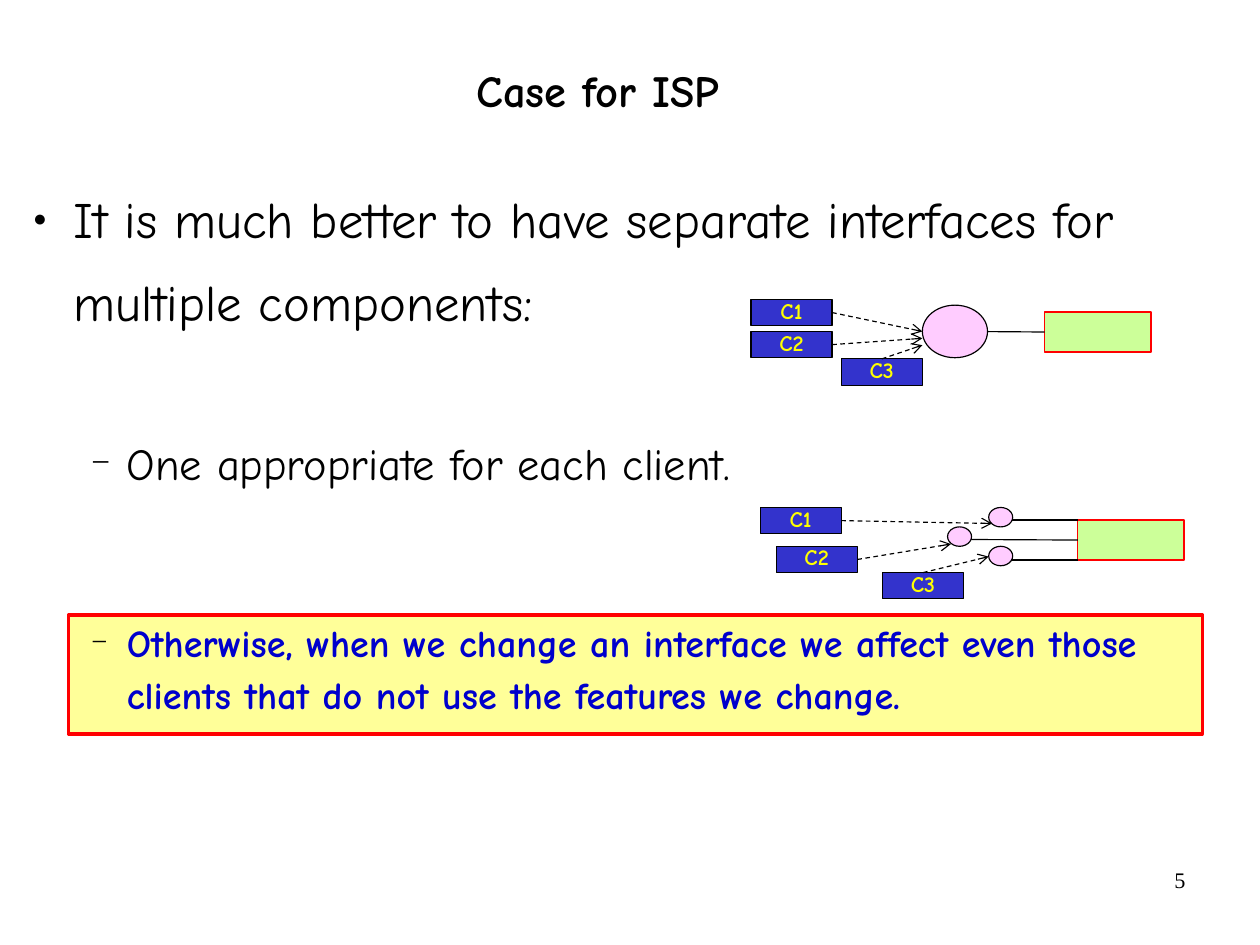
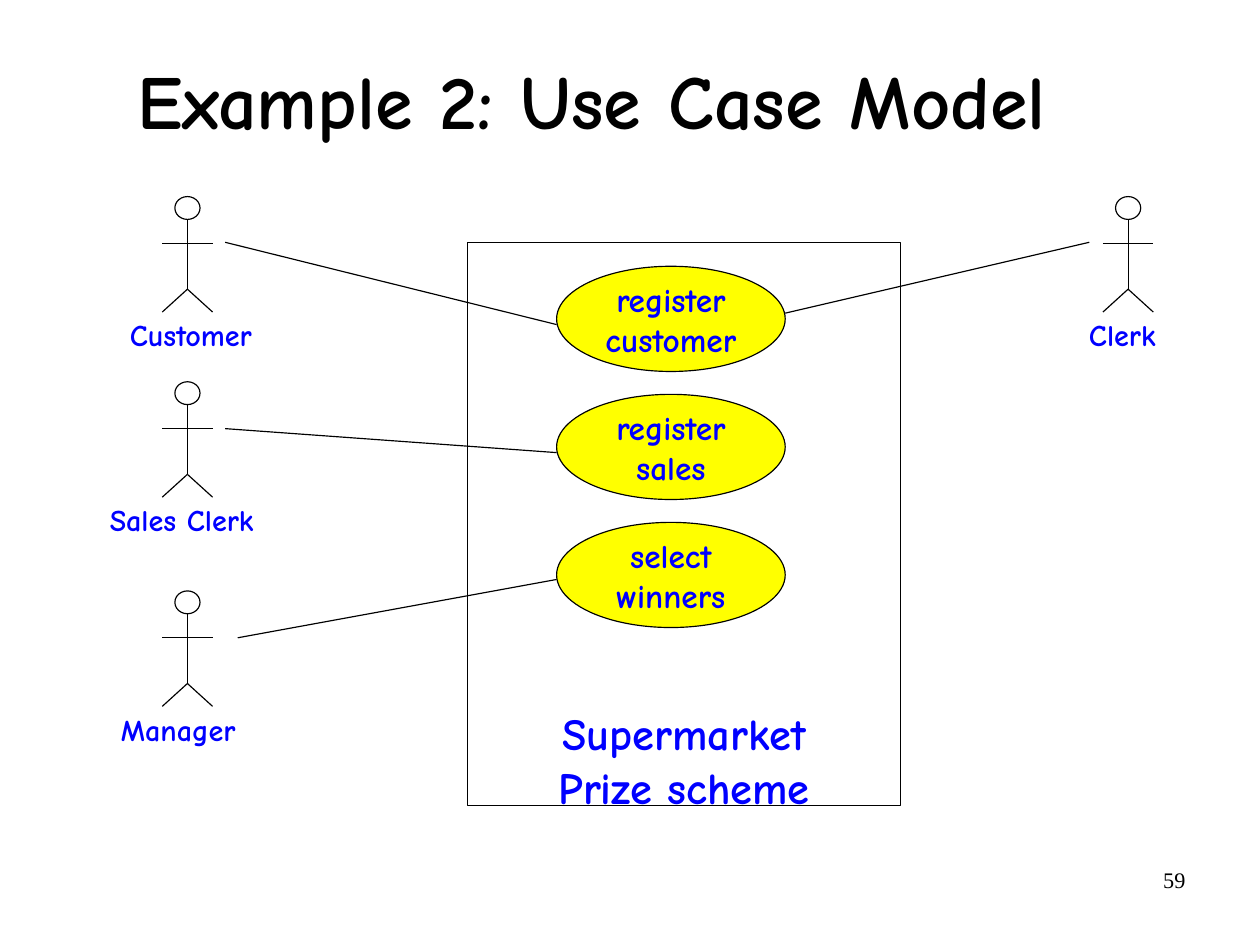
from dataclasses import dataclass
from typing import Any, NamedTuple

from lxml import etree
from pptx import Presentation
from pptx.dml.color import RGBColor
from pptx.enum.dml import MSO_LINE
from pptx.enum.shapes import MSO_CONNECTOR, MSO_SHAPE
from pptx.enum.text import MSO_ANCHOR, PP_ALIGN
from pptx.oxml.ns import qn
from pptx.util import Inches, Pt

# Enum members
RECTANGLE, OVAL = MSO_SHAPE.RECTANGLE, MSO_SHAPE.OVAL
STRAIGHT, DASH = MSO_CONNECTOR.STRAIGHT, MSO_LINE.DASH
TOP, MIDDLE = MSO_ANCHOR.TOP, MSO_ANCHOR.MIDDLE
LEFT, CENTER, RIGHT = PP_ALIGN.LEFT, PP_ALIGN.CENTER, PP_ALIGN.RIGHT
SIDE_TOP, SIDE_LEFT, SIDE_RIGHT = 0, 1, 3

# Colours and fonts
BLACK = RGBColor(0x00, 0x00, 0x00)
RED = RGBColor(0xFF, 0x00, 0x00)
BLUE = RGBColor(0x00, 0x00, 0xFF)
YELLOW = RGBColor(0xFF, 0xFF, 0x00)
PALE_YELLOW = RGBColor(0xFF, 0xFF, 0x99)
DARK_BLUE = RGBColor(0x00, 0x00, 0xCC)
CLIENT_BLUE = RGBColor(0x33, 0x33, 0xCC)
SERVICE_GREEN = RGBColor(0xCC, 0xFF, 0x99)
INTERFACE_PINK = RGBColor(0xFF, 0xCC, 0xFF)
MAIN_FONT, SERIF_FONT = "Comic Neue", "Times New Roman"

# Sizes: the page is 28 by 21 centimetres
CENTIMETRES_PER_INCH = 2.54
PAGE_WIDTH = Inches(28 / CENTIMETRES_PER_INCH)
PAGE_HEIGHT = Inches(21 / CENTIMETRES_PER_INCH)
HAIRLINE = 0.75
CLIENT_WIDTH, CLIENT_HEIGHT = 0.71, 0.23
SERVICE_WIDTH, SERVICE_HEIGHT = 0.93, 0.35


class Box(NamedTuple):
    left: float
    top: float
    width: float
    height: float


class Point(NamedTuple):
    x: float
    y: float


@dataclass(frozen=True)
class TextStyle:
    size: float
    color: RGBColor = BLACK
    bold: bool = True
    font: str = MAIN_FONT
    align: PP_ALIGN = CENTER
    anchor: MSO_ANCHOR = MIDDLE
    spacing: float = 1.0
    wrap: bool = True


@dataclass(frozen=True)
class BodyItem:
    text: str
    style: TextStyle
    bullet: str
    bullet_percent: int
    margin: float
    hanging: float
    before: float
    after: float
    level: int = 0


@dataclass(frozen=True)
class Client:
    name: str
    corner: Point
    side: int
    target: Point


@dataclass(frozen=True)
class Interface:
    box: Box
    link_start: Point
    link_end: Point
    at_side_middle: bool = False


@dataclass(frozen=True)
class ServiceDiagram:
    service: Point
    interfaces: list[Interface]
    clients: list[Client]


@dataclass(frozen=True)
class Actor:
    name: str
    axis: float
    top: float
    label_center: float
    link_start: Point
    link_end: Point


# Text styles
NUMBER_STYLE = TextStyle(14, bold=False, font=SERIF_FONT, align=RIGHT, anchor=TOP)
CLIENT_STYLE = TextStyle(14, YELLOW, spacing=0.8)
USE_CASE_STYLE = TextStyle(21, BLUE, wrap=False)
SYSTEM_STYLE = TextStyle(28, BLUE, anchor=TOP)
ACTOR_STYLE = TextStyle(19, BLUE, anchor=TOP, wrap=False)

# Content of the first slide
BODY_ITEMS = [
    BodyItem("It is much better to have separate interfaces for multiple components:",
             TextStyle(32, bold=False, align=LEFT, spacing=1.35),
             "●", 45, 0.46, 0.35, 0, 30),
    BodyItem("One appropriate for each client.",
             TextStyle(28, bold=False, align=LEFT, spacing=1.35),
             "−", 75, 0.93, 0.31, 24, 54, 1),
    BodyItem("Otherwise, when we change an interface we affect even those clients "
             "that do not use the features we change.",
             TextStyle(24, DARK_BLUE, align=LEFT, spacing=1.14),
             "−", 75, 0.93, 0.31, 24, 30, 1),
]
SHARED_INTERFACE = ServiceDiagram(
    Point(9.14, 2.73),
    [Interface(Box(8.07, 2.67, 0.57, 0.46), Point(9.14, 2.91), Point(8.5, 2.9), True)],
    [Client("C1", Point(6.57, 2.62), SIDE_RIGHT, Point(8.07, 2.9)),
     Client("C2", Point(6.57, 2.9), SIDE_RIGHT, Point(8.07, 2.96)),
     Client("C3", Point(7.36, 3.14), SIDE_TOP, Point(8.07, 3.02))],
)
SEPARATE_INTERFACES = ServiceDiagram(
    Point(9.43, 4.55),
    [Interface(Box(8.65, 4.78, 0.21, 0.17), Point(9.43, 4.9), Point(8.79, 4.9)),
     Interface(Box(8.29, 4.61, 0.21, 0.17), Point(9.43, 4.72), Point(8.43, 4.72), True),
     Interface(Box(8.65, 4.44, 0.21, 0.17), Point(9.43, 4.55), Point(8.79, 4.55))],
    [Client("C1", Point(6.65, 4.44), SIDE_RIGHT, Point(8.68, 4.58)),
     Client("C2", Point(6.79, 4.78), SIDE_RIGHT, Point(8.32, 4.76)),
     Client("C3", Point(7.72, 5.01), SIDE_TOP, Point(8.65, 4.87))],
)

# Content of the second slide
USE_CASES = [["register", "customer"], ["register", "sales"], ["select", "winners"]]
USE_CASE_TOP, USE_CASE_PITCH = 2.33, 1.12
ACTORS = [
    Actor("Customer", 1.64, 1.72, 1.67, Point(4.87, 2.84), Point(1.97, 2.12)),
    Actor("Sales Clerk", 1.64, 3.34, 1.59, Point(4.87, 3.96), Point(1.97, 3.75)),
    Actor("Manager", 1.64, 5.17, 1.56, Point(4.87, 5.07), Point(2.08, 5.58)),
    Actor("Clerk", 9.87, 1.72, 9.82, Point(6.87, 2.74), Point(9.53, 2.12)),
]


def apply_format(target: Any, values: dict[str, Any]) -> None:
    for name, value in values.items():
        setattr(target, name, value)


def inches(values: tuple[float, ...]) -> list[int]:
    return [Inches(value) for value in values]


# Text helpers
def add_run(paragraph: Any, text: str, style: TextStyle) -> None:
    apply_format(paragraph, {"alignment": style.align, "line_spacing": style.spacing})
    run = paragraph.add_run()
    run.text = text
    apply_format(run.font, {"name": style.font, "size": Pt(style.size), "bold": style.bold})
    run.font.color.rgb = style.color


def prepare_frame(shape: Any, style: TextStyle, inset: tuple[float, float]) -> Any:
    frame = shape.text_frame
    across, down = inches(inset)
    apply_format(frame, {
        "word_wrap": style.wrap, "vertical_anchor": style.anchor,
        "margin_left": across, "margin_right": across,
        "margin_top": down, "margin_bottom": down,
    })
    return frame


def write_lines(shape: Any, lines: list[str], style: TextStyle,
                inset: tuple[float, float] = (0.1, 0.05)) -> None:
    frame = prepare_frame(shape, style, inset)
    for index, line in enumerate(lines):
        paragraph = frame.add_paragraph() if index else frame.paragraphs[0]
        add_run(paragraph, line, style)


def add_text(slide: Any, box: Box, lines: list[str], style: TextStyle,
             inset: tuple[float, float] = (0, 0)) -> None:
    write_lines(slide.shapes.add_textbox(*inches(box)), lines, style, inset)


def add_body(slide: Any, box: Box, items: list[BodyItem]) -> None:
    shape = slide.shapes.add_textbox(*inches(box))
    frame = prepare_frame(shape, TextStyle(32, anchor=TOP), (0, 0))
    for index, item in enumerate(items):
        paragraph = frame.add_paragraph() if index else frame.paragraphs[0]
        properties = paragraph._p.get_or_add_pPr()
        properties.set("marL", str(Inches(item.margin)))
        properties.set("indent", str(-Inches(item.hanging)))
        color = etree.SubElement(properties, qn("a:buClr"))
        etree.SubElement(color, qn("a:srgbClr"), val=str(BLACK))
        etree.SubElement(properties, qn("a:buSzPct"), val=str(item.bullet_percent * 1000))
        etree.SubElement(properties, qn("a:buFont"), typeface=SERIF_FONT)
        etree.SubElement(properties, qn("a:buChar"), char=item.bullet)
        apply_format(paragraph, {"level": item.level, "space_before": Pt(item.before),
                                 "space_after": Pt(item.after)})
        add_run(paragraph, item.text, item.style)


# Shape helpers
def add_shape(slide: Any, kind: MSO_SHAPE, box: Box, fill: RGBColor | None = None,
              line: RGBColor = BLACK, line_width: float = HAIRLINE) -> Any:
    shape = slide.shapes.add_shape(kind, *inches(box))
    shape.shadow.inherit = False
    if fill is None:
        shape.fill.background()
    else:
        shape.fill.solid()
        shape.fill.fore_color.rgb = fill
    shape.line.color.rgb = line
    shape.line.width = Pt(line_width)
    return shape


def add_line(slide: Any, start: Point, end: Point, arrow: bool = False) -> Any:
    connector = slide.shapes.add_connector(STRAIGHT, *inches(start + end))
    connector.line.color.rgb = BLACK
    connector.line.width = Pt(HAIRLINE)
    if arrow:
        connector.line.dash_style = DASH
        etree.SubElement(connector.line._get_or_add_ln(), qn("a:tailEnd"), type="arrow")
    etree.SubElement(connector._element.spPr, qn("a:effectLst"))
    return connector


# Slide parts
def add_base_slide(presentation: Any, number: str) -> Any:
    slide = presentation.slides.add_slide(presentation.slide_layouts[6])
    add_text(slide, Box(7.9, 7.53, 2.57, 0.57), [number], NUMBER_STYLE, (0.1, 0.05))
    return slide


def add_title(slide: Any, box: Box, title: str, size: float, spacing: float) -> None:
    add_text(slide, box, [title], TextStyle(size, spacing=spacing))


def add_service_diagram(slide: Any, diagram: ServiceDiagram) -> None:
    service = add_shape(slide, RECTANGLE, Box(*diagram.service, SERVICE_WIDTH, SERVICE_HEIGHT),
                        SERVICE_GREEN, RED)
    for interface in diagram.interfaces:
        link = add_line(slide, interface.link_start, interface.link_end)
        if interface.at_side_middle:
            link.begin_connect(service, SIDE_LEFT)
        add_shape(slide, OVAL, interface.box, INTERFACE_PINK)
    for client in diagram.clients:
        box = add_shape(slide, RECTANGLE, Box(*client.corner, CLIENT_WIDTH, CLIENT_HEIGHT),
                        CLIENT_BLUE)
        write_lines(box, [client.name], CLIENT_STYLE)
        add_line(slide, client.corner, client.target, True).begin_connect(box, client.side)


def add_actor(slide: Any, actor: Actor) -> None:
    axis, top = actor.axis, actor.top
    hip = Point(axis, top + 0.81)
    add_shape(slide, OVAL, Box(axis - 0.11, top, 0.22, 0.2))
    add_line(slide, Point(axis, top + 0.2), hip)
    add_line(slide, Point(axis - 0.22, top + 0.41), Point(axis + 0.22, top + 0.41))
    for foot in (-0.22, 0.22):
        add_line(slide, hip, Point(axis + foot, top + 1.01))
    add_text(slide, Box(actor.label_center - 0.75, top + 0.99, 1.5, 0.43),
             [actor.name], ACTOR_STYLE, (0.11, 0.06))
    add_line(slide, actor.link_start, actor.link_end)


def build_interface_slide(presentation: Any) -> None:
    slide = add_base_slide(presentation, "5")
    add_shape(slide, RECTANGLE, Box(0.6, 5.38, 9.92, 1.04), PALE_YELLOW, RED, 2.25)
    add_title(slide, Box(0.53, 0.38, 9.4, 0.88), "Case for ISP", 28, 0.88)
    add_body(slide, Box(0.18, 1.46, 10.25, 6.25), BODY_ITEMS)
    for diagram in (SHARED_INTERFACE, SEPARATE_INTERFACES):
        add_service_diagram(slide, diagram)


def build_use_case_slide(presentation: Any) -> None:
    slide = add_base_slide(presentation, "59")
    add_title(slide, Box(0.49, 0.2, 9.37, 1.42), "Example 2: Use Case Model", 48, 0.94)
    add_shape(slide, RECTANGLE, Box(4.09, 2.12, 3.79, 4.93))
    add_text(slide, Box(4.09, 6.18, 3.79, 0.93), ["Supermarket", "Prize scheme"], SYSTEM_STYLE)
    for index, lines in enumerate(USE_CASES):
        box = Box(4.87, USE_CASE_TOP + index * USE_CASE_PITCH, 2, 0.92)
        write_lines(add_shape(slide, OVAL, box, YELLOW), lines, USE_CASE_STYLE, (0.11, 0.06))
    for actor in ACTORS:
        add_actor(slide, actor)


def main() -> None:
    presentation = Presentation()
    presentation.slide_width = PAGE_WIDTH
    presentation.slide_height = PAGE_HEIGHT
    build_interface_slide(presentation)
    build_use_case_slide(presentation)
    presentation.save("out.pptx")


if __name__ == "__main__":
    main()
